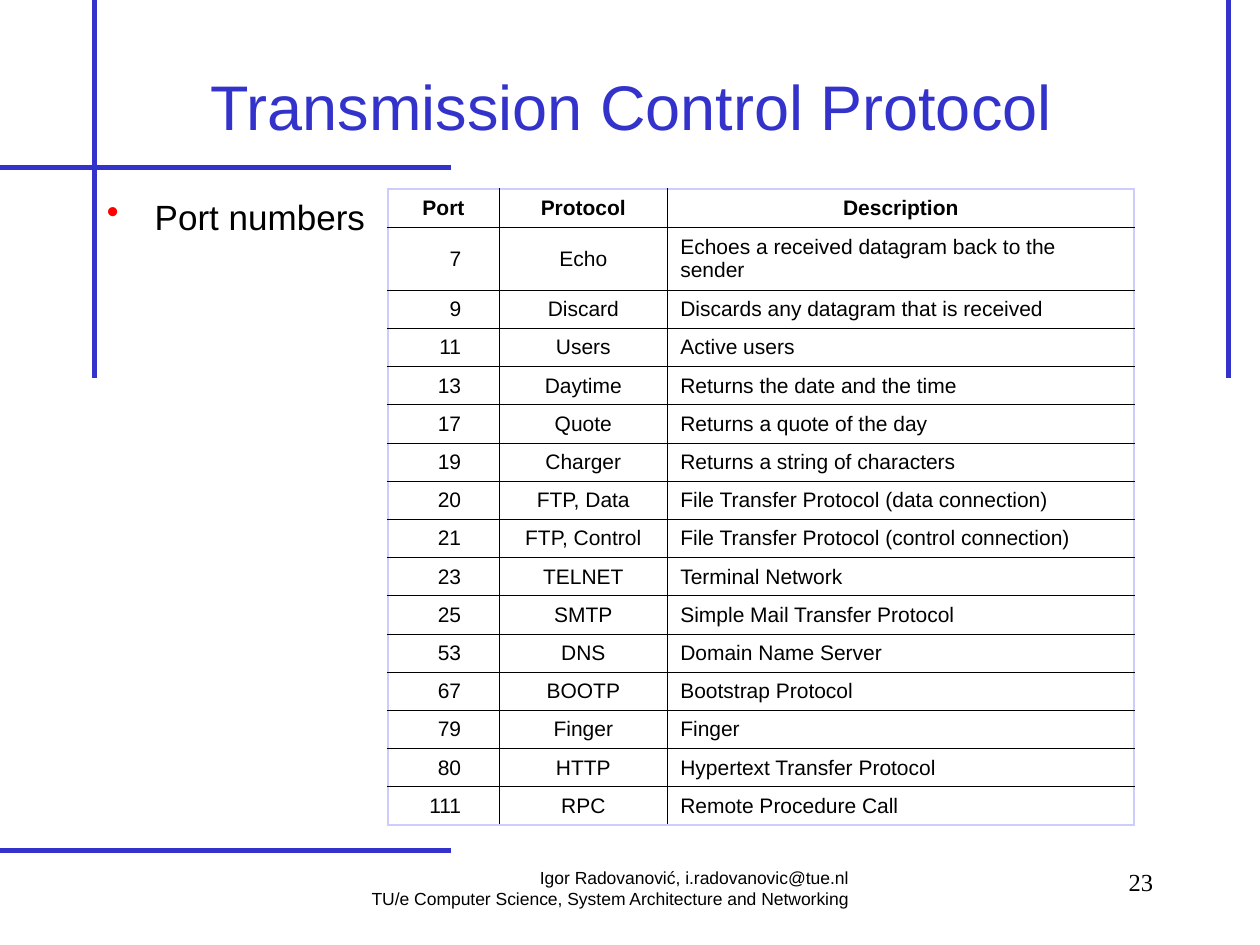
import dataclasses

import pptx
import pptx.dml.color
import pptx.enum.shapes
import pptx.enum.text
import pptx.oxml.ns
import pptx.util
from lxml import etree

Inches = pptx.util.Inches
Pt = pptx.util.Pt
RGBColor = pptx.dml.color.RGBColor
Align = pptx.enum.text.PP_ALIGN
Anchor = pptx.enum.text.MSO_ANCHOR
qn = pptx.oxml.ns.qn

BLUE = RGBColor(0x33, 0x33, 0xCC)
PALE = RGBColor(0xCC, 0xCC, 0xFF)
RED = RGBColor(0xFF, 0, 0)
BLACK = RGBColor(0, 0, 0)


@dataclasses.dataclass
class Rule:
    x1: float
    y1: float
    x2: float
    y2: float


@dataclasses.dataclass
class Label:
    x: float
    y: float
    w: float
    h: float
    lines: list[str]
    size: int
    align: Align = Align.RIGHT
    color: RGBColor = BLACK
    face: str = "Arial"
    anchor: Anchor = Anchor.TOP
    bullet: bool = False


@dataclasses.dataclass
class Entry:
    port: str
    name: str
    about: str


RULES = [
    Rule(3.58, 6.75, 0, 6.75),
    Rule(9.75, 0, 9.75, 3),
    Rule(3.58, 1.33, 0, 1.33),
    Rule(0.75, 0, 0.75, 3),
]
LABELS = [
    Label(7.17, 6.83, 2.08, 0.5, ["23"], 14, face="Times New Roman"),
    Label(2.25, 6.83, 4.58, 0.5, [
        "Igor Radovanović, i.radovanovic@tue.nl",
        "TU/e Computer Science, System Architecture and Networking",
    ], 10),
    Label(0.83, 0.42, 8.5, 0.83, ["Transmission Control Protocol "], 36,
          Align.CENTER, BLUE, anchor=Anchor.MIDDLE),
    Label(0.75, 1.5, 4.17, 5.17, ["Port numbers"], 20, Align.LEFT, bullet=True),
]
ENTRIES = [
    Entry("Port", "Protocol", "Description"),
    Entry("7", "Echo", "Echoes a received datagram back to the sender"),
    Entry("9", "Discard", "Discards any datagram that is received"),
    Entry("11", "Users", "Active users"),
    Entry("13", "Daytime", "Returns the date and the time"),
    Entry("17", "Quote", "Returns a quote of the day"),
    Entry("19", "Charger", "Returns a string of characters"),
    Entry("20", "FTP, Data", "File Transfer Protocol (data connection)"),
    Entry("21", "FTP, Control", "File Transfer Protocol (control connection)"),
    Entry("23", "TELNET", "Terminal Network"),
    Entry("25", "SMTP", "Simple Mail Transfer Protocol"),
    Entry("53", "DNS", "Domain Name Server"),
    Entry("67", "BOOTP", "Bootstrap Protocol"),
    Entry("79", "Finger", "Finger"),
    Entry("80", "HTTP", "Hypertext Transfer Protocol"),
    Entry("111", "RPC", "Remote Procedure Call"),
]
WIDTHS = [0.88, 1.34, 3.7]
ALIGNS = [Align.RIGHT, Align.CENTER, Align.LEFT]
HEIGHT = 5.05
TALL = 0.5


def style(para, size: int, align: Align, color: RGBColor = BLACK,
          face: str = "Arial", bold: bool = False) -> None:
    para.alignment = align
    para.font.size = Pt(size)
    para.font.name = face
    para.font.bold = bold
    para.font.color.rgb = color


def add_bullet(para) -> None:
    props = para._p.get_or_add_pPr()
    props.set("marL", str(Inches(0.38)))
    props.set("indent", str(-Inches(0.38)))
    tint = etree.SubElement(props, qn("a:buClr"))
    etree.SubElement(tint, qn("a:srgbClr"), val=str(RED))
    etree.SubElement(props, qn("a:buChar"), char="•")


def draw_rule(slide, rule: Rule) -> None:
    line = slide.shapes.add_connector(
        pptx.enum.shapes.MSO_CONNECTOR.STRAIGHT,
        Inches(rule.x1), Inches(rule.y1), Inches(rule.x2), Inches(rule.y2))
    line.line.color.rgb = BLUE
    line.line.width = Pt(3)
    etree.SubElement(line._element.spPr, qn("a:effectLst"))


def draw_label(slide, label: Label) -> None:
    box = slide.shapes.add_textbox(
        Inches(label.x), Inches(label.y), Inches(label.w), Inches(label.h))
    frame = box.text_frame
    frame.word_wrap = True
    frame.vertical_anchor = label.anchor
    frame.text = "\n".join(label.lines)
    for para in frame.paragraphs:
        if label.bullet:
            add_bullet(para)
        style(para, label.size, label.align, label.color, label.face)


def add_border(cell, side: str, outer: bool) -> None:
    width = Pt(1.47 if outer else 0.45)
    line = etree.SubElement(cell._tc.get_or_add_tcPr(), qn("a:ln" + side), w=str(width))
    fill = etree.SubElement(line, qn("a:solidFill"))
    etree.SubElement(fill, qn("a:srgbClr"), val=str(PALE if outer else BLACK))


def draw_table(slide, entries: list[Entry]) -> None:
    last = len(entries) - 1
    end = len(WIDTHS) - 1
    table = slide.shapes.add_table(
        len(entries), len(WIDTHS), Inches(3.08), Inches(1.5),
        Inches(sum(WIDTHS)), Inches(HEIGHT)).table
    table.first_row = False
    table.horz_banding = False
    for column, width in zip(table.columns, WIDTHS):
        column.width = Inches(width)
    for r, entry in enumerate(entries):
        table.rows[r].height = Inches(TALL if r == 1 else (HEIGHT - TALL) / last)
        for c, text in enumerate(dataclasses.astuple(entry)):
            head = r == 0
            cell = table.cell(r, c)
            cell.text = text
            cell.vertical_anchor = Anchor.MIDDLE
            if c == 0 and not head:
                cell.margin_right = Inches(0.3)
            style(cell.text_frame.paragraphs[0], 12,
                  Align.CENTER if head else ALIGNS[c], bold=head)
            edges = {"L": c == 0, "R": c == end, "T": head, "B": r == last}
            for side, outer in edges.items():
                add_border(cell, side, outer)
            cell.fill.background()


def main() -> None:
    deck = pptx.Presentation()
    deck.slide_width = Inches(10)
    deck.slide_height = Inches(7.5)
    slide = deck.slides.add_slide(deck.slide_layouts[6])
    for rule in RULES:
        draw_rule(slide, rule)
    for label in LABELS:
        draw_label(slide, label)
    draw_table(slide, ENTRIES)
    deck.save("out.pptx")


if __name__ == "__main__":
    main()
